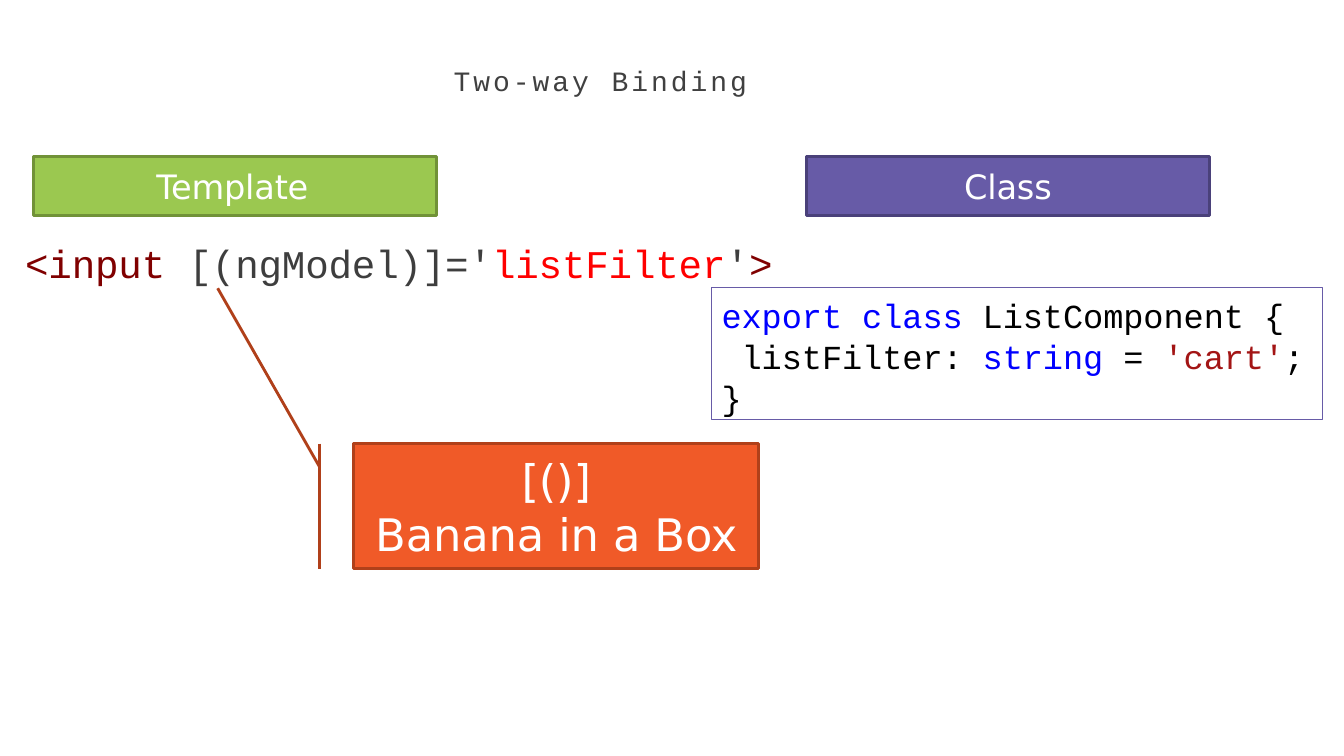
from lxml import etree
from pptx import Presentation
from pptx.dml.color import RGBColor
from pptx.enum.shapes import MSO_CONNECTOR, MSO_SHAPE
from pptx.enum.text import MSO_ANCHOR, MSO_AUTO_SIZE, PP_ALIGN
from pptx.oxml.ns import qn
from pptx.util import Pt

LEFT, CENTER = PP_ALIGN.LEFT, PP_ALIGN.CENTER
TOP = MSO_ANCHOR.TOP
NO_AUTOSIZE = MSO_AUTO_SIZE.NONE
RECT = MSO_SHAPE.RECTANGLE
STRAIGHT = MSO_CONNECTOR.STRAIGHT

WHITE = RGBColor(0xFF, 0xFF, 0xFF)
BLACK = RGBColor(0x00, 0x00, 0x00)
GREY = RGBColor(0x40, 0x40, 0x40)
CODE_GREY = RGBColor(0x3E, 0x3E, 0x3E)
MAROON = RGBColor(0x80, 0x00, 0x00)
RED = RGBColor(0xFF, 0x00, 0x00)
BLUE = RGBColor(0x00, 0x00, 0xFF)
STRING_RED = RGBColor(0xA3, 0x15, 0x15)
GREEN = RGBColor(0x9B, 0xC8, 0x50)
DARK_GREEN = RGBColor(0x71, 0x92, 0x38)
PURPLE = RGBColor(0x67, 0x5B, 0xA7)
DARK_PURPLE = RGBColor(0x4A, 0x41, 0x7A)
ORANGE = RGBColor(0xF0, 0x5A, 0x28)
DARK_ORANGE = RGBColor(0xB0, 0x40, 0x1A)
CODE_FONT, LABEL_FONT = "Courier New", "DejaVu Sans"


def set_text(s, lines, size, font=CODE_FONT, align=LEFT, top=0, left=0,
             right=0, spacing=None, tracking=0):
    """Fill a shape with lines, each a list of (text, colour) runs."""
    tf = s.text_frame
    tf.word_wrap = True
    tf.auto_size = NO_AUTOSIZE
    tf.vertical_anchor = TOP
    tf.margin_left, tf.margin_right = Pt(left), Pt(right)
    tf.margin_top, tf.margin_bottom = Pt(top), 0
    for i, line in enumerate(lines):
        p = tf.add_paragraph() if i else tf.paragraphs[0]
        p.alignment = align
        if spacing:
            p.line_spacing = Pt(spacing)
        for text, color in line:
            r = p.add_run()
            r.text = text
            r.font.name = font
            r.font.size = Pt(size)
            r.font.color.rgb = color
            r.font._element.set("spc", str(round(tracking * 100)))


def add_box(x, y, w, h, fill, line, line_width=2.04):
    s = slide.shapes.add_shape(RECT, Pt(x), Pt(y), Pt(w), Pt(h))
    s.shadow.inherit = False
    if fill is None:
        s.fill.background()
    else:
        s.fill.solid()
        s.fill.fore_color.rgb = fill
    s.line.color.rgb = line
    s.line.width = Pt(line_width)
    return s


prs = Presentation()
prs.slide_width, prs.slide_height = Pt(960), Pt(540)
slide = prs.slides.add_slide(prs.slide_layouts[5])

# Title
s = slide.shapes.title
s.left, s.top, s.width, s.height = Pt(323.3), Pt(41), Pt(306.7), Pt(45.4)
set_text(s, [[("Two-way Binding", GREY)]], 20, top=4.4, left=0.7, tracking=2.1)

# Class code
s = add_box(508.3, 205.2, 436.3, 94.3, None, PURPLE, 0.72)
set_text(s, [
    [("export class ", BLUE), ("ListComponent {", BLACK)],
    [(" listFilter: ", BLACK), ("string ", BLUE), ("= ", BLACK),
     ("'cart'", STRING_RED), (";", BLACK)],
    [("}", BLACK)],
], 24, top=5.5, left=7.2, spacing=29, tracking=-0.05)

# Template code
s = slide.shapes.add_textbox(Pt(17.3), Pt(164.9), Pt(538.6), Pt(35.3))
set_text(s, [[("<input ", MAROON), ("[(ngModel)]='", CODE_GREY),
              ("listFilter", RED), ("'", CODE_GREY), (">", MAROON)]],
         28, top=6.3, left=0.7, tracking=-0.1)

# Callout lines from the binding to the box
for x1, y1, x2, y2 in ((228.2, 316.8, 228.2, 406.1),
                       (228.2, 333.4, 155.5, 205.9)):
    s = slide.shapes.add_connector(STRAIGHT, Pt(x1), Pt(y1), Pt(x2), Pt(y2))
    s.line.color.rgb = DARK_ORANGE
    s.line.width = Pt(2.04)
    etree.SubElement(s._element.spPr, qn("a:effectLst"))

# Callout box
s = add_box(252.7, 316.8, 289.4, 89.3, ORANGE, DARK_ORANGE)
set_text(s, [[("[()]", WHITE)], [("Banana in a Box", WHITE)]], 32,
         font=LABEL_FONT, align=CENTER, top=6.8, spacing=38.4, tracking=-0.1)

# Column headers
for name, x, fill, line, right in (("Template", 23.8, GREEN, DARK_GREEN, 3.6),
                                   ("Class", 576, PURPLE, DARK_PURPLE, 0)):
    s = add_box(x, 111.6, 288, 42.5, fill, line)
    set_text(s, [[(name, WHITE)]], 24, font=LABEL_FONT, align=CENTER,
             top=6.8, right=right, tracking=-0.15)

prs.save("out.pptx")
